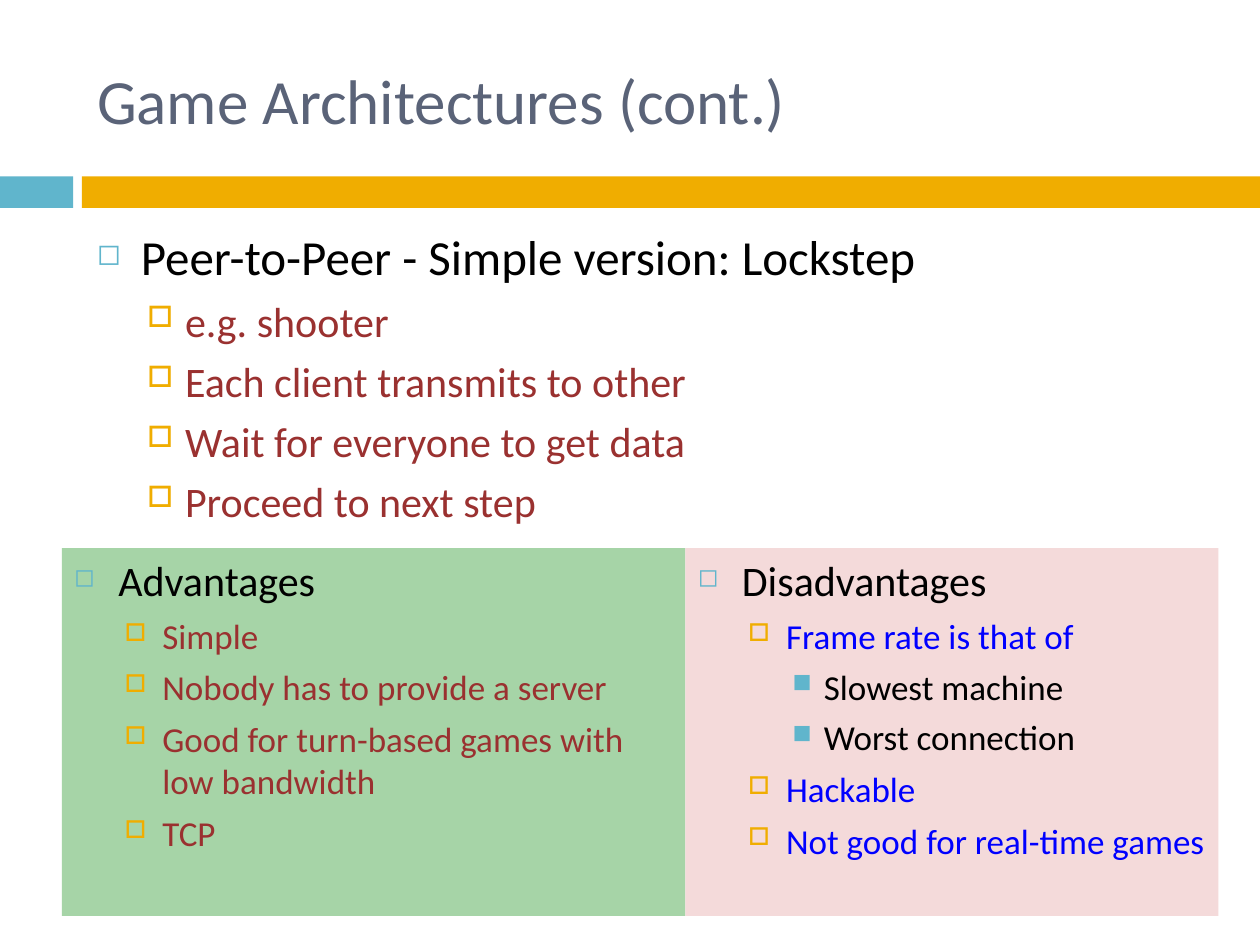
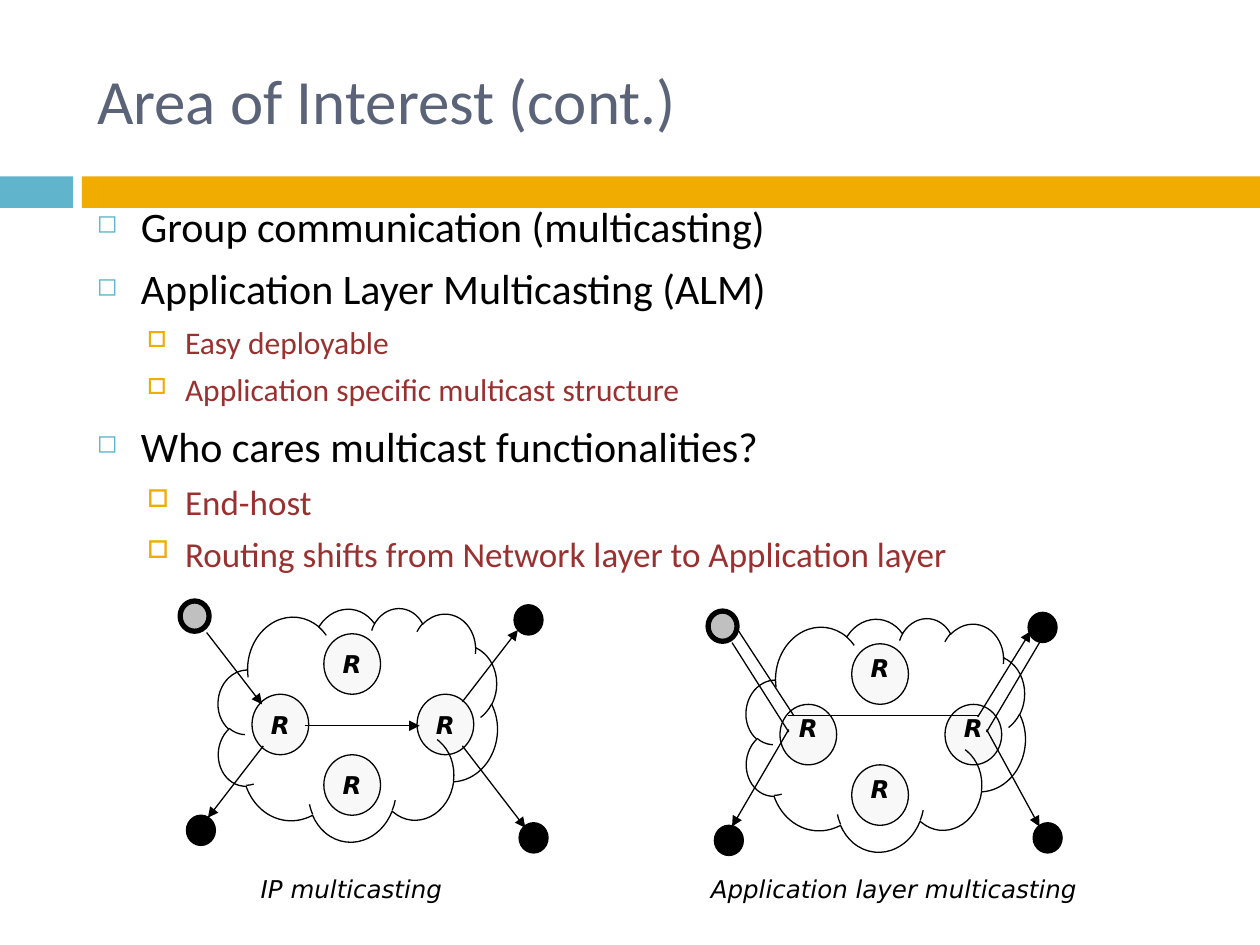
from pptx import Presentation
from pptx.dml.color import RGBColor
from pptx.enum.shapes import MSO_CONNECTOR, MSO_SHAPE
from pptx.enum.text import MSO_ANCHOR, PP_ALIGN
from pptx.oxml.ns import qn
from pptx.util import Inches, Pt
from lxml.etree import SubElement

TEAL = RGBColor(0x60, 0xB5, 0xCC)
AMBER = RGBColor(0xF0, 0xAD, 0x00)
SLATE = RGBColor(0x5A, 0x63, 0x78)
RUST = RGBColor(0x9A, 0x31, 0x30)
BLUE = RGBColor(0x00, 0x00, 0xFF)
BLACK = RGBColor(0x00, 0x00, 0x00)
WHITE = RGBColor(0xFF, 0xFF, 0xFF)
GREEN = RGBColor(0xA6, 0xD4, 0xA7)
PINK = RGBColor(0xF4, 0xDA, 0xDA)
PALE = RGBColor(0xF8, 0xF8, 0xF8)
GREY = RGBColor(0xC0, 0xC0, 0xC0)

FONT = "Calibri"
LABEL_FONT = "DejaVu Sans"

# Per level: indent, hanging, space before, bullet, bullet colour, bullet percent
LEVELS = [
    (0.35, 0.35, 7, "◻", TEAL, 60),
    (0.70, 0.30, 5.5, "□", AMBER, 70),
    (1.00, 0.25, 5, "■", TEAL, 75),
]


# Basic parts
def add_box(slide, kind, box, fill=None, line=None, width=0.75):
    shape = slide.shapes.add_shape(kind, *map(Inches, box))
    shape.shadow.inherit = False
    if fill is None:
        shape.fill.background()
    else:
        shape.fill.solid()
        shape.fill.fore_color.rgb = fill
    if line is None:
        shape.line.fill.background()
    else:
        shape.line.color.rgb = line
        shape.line.width = Pt(width)
    return shape


def style(para, size, color, name=FONT, bold=False, italic=False):
    for run in para.runs:
        font = run.font
        font.name, font.size, font.color.rgb = name, Pt(size), color
        font.bold, font.italic = bold, italic


def set_bullet(para, level):
    indent, hang, before, char, color, percent = LEVELS[level]
    para.level = level
    para.alignment = PP_ALIGN.LEFT
    para.space_before = Pt(before)
    props = para._p.get_or_add_pPr()
    props.set("marL", str(Inches(indent)))
    props.set("indent", str(-Inches(hang)))
    tint = SubElement(props, qn("a:buClr"))
    SubElement(tint, qn("a:srgbClr"), val=str(color))
    SubElement(props, qn("a:buSzPct"), val=str(percent * 1000))
    SubElement(props, qn("a:buChar"), char=char)


def fill_list(frame, items):
    """Each item is (level, text, size, colour)."""
    frame.word_wrap = True
    frame.vertical_anchor = MSO_ANCHOR.TOP
    for i, (level, text, size, color) in enumerate(items):
        para = frame.add_paragraph() if i else frame.paragraphs[0]
        para.text = text
        style(para, size, color)
        set_bullet(para, level)


def add_list(slide, box, items):
    shape = slide.shapes.add_textbox(*map(Inches, box))
    fill_list(shape.text_frame, items)


def add_panel(slide, box, fill, items):
    panel = add_box(slide, MSO_SHAPE.RECTANGLE, box, fill)
    fill_list(panel.text_frame, items)


def set_label(shape, text, anchor=MSO_ANCHOR.TOP, bold=False):
    frame = shape.text_frame
    frame.margin_left = frame.margin_right = 0
    frame.margin_top = frame.margin_bottom = 0
    frame.vertical_anchor = anchor
    para = frame.paragraphs[0]
    para.text = text
    para.alignment = PP_ALIGN.CENTER
    style(para, 14, BLACK, LABEL_FONT, bold, True)


def add_link(slide, start, end, arrow):
    link = slide.shapes.add_connector(
        MSO_CONNECTOR.STRAIGHT, *map(Inches, start + end))
    link.line.color.rgb = BLACK
    link.line.width = Pt(0.75)
    if arrow:
        SubElement(link.line._get_or_add_ln(), qn("a:tailEnd"), type="triangle")
    SubElement(link._element.spPr, qn("a:effectLst"))


# Title and band shared by the slides
def add_page(deck, text):
    slide = deck.slides.add_slide(deck.slide_layouts[5])
    add_box(slide, MSO_SHAPE.RECTANGLE, (0, 1.4, 0.58, 0.25), TEAL)
    add_box(slide, MSO_SHAPE.RECTANGLE, (0.65, 1.4, 9.35, 0.25), AMBER)
    title = slide.shapes.title
    title.left, title.top = Inches(0.67), Inches(0.25)
    title.width, title.height = Inches(8.92), Inches(1.08)
    frame = title.text_frame
    frame.text = text
    frame.vertical_anchor = MSO_ANCHOR.MIDDLE
    frame.paragraphs[0].alignment = PP_ALIGN.LEFT
    style(frame.paragraphs[0], 36, SLATE)
    return slide


# Network of four routers in a cloud, with a sender and three hosts
ROUTERS = [(0.57, 0.74), (1.14, 0.26), (1.14, 1.22), (1.88, 0.74)]


def add_network(slide, left, top, anchor, hosts, links, caption, span):
    def place(x, y, *size):
        return (left + x, top + y) + size

    for x, y in ROUTERS:
        router = add_box(slide, MSO_SHAPE.OVAL, place(x, y, 0.45, 0.48),
                         PALE, BLACK)
        set_label(router, "R", anchor, True)
    cloud = add_box(slide, MSO_SHAPE.CLOUD, place(0.29, 0.02, 2.23, 1.89),
                    None, BLACK)
    cloud.rotation = 6.8
    for x1, y1, x2, y2, arrow in links:
        add_link(slide, place(x1, y1), place(x2, y2), arrow)
    for x, y in hosts:
        add_box(slide, MSO_SHAPE.OVAL, place(x, y, 0.23, 0.24), BLACK, BLACK)
    add_box(slide, MSO_SHAPE.OVAL, place(0, 0, 0.23, 0.24), GREY, BLACK, 3)
    x, y, width = span
    note = add_box(slide, MSO_SHAPE.RECTANGLE, place(x, y, width, 0.27), WHITE)
    set_label(note, caption)


# Slides
def build_peers(deck):
    slide = add_page(deck, "Game Architectures (cont.)")
    steps = ["e.g. shooter", "Each client transmits to other",
             "Wait for everyone to get data", "Proceed to next step"]
    add_list(slide, (0.67, 1.75, 8.92, 4.92),
             [(0, "Peer-to-Peer - Simple version: Lockstep", 28, BLACK)]
             + [(1, step, 24, RUST) for step in steps])
    pros = ["Simple", "Nobody has to provide a server",
            "Good for turn-based games with low bandwidth", "TCP"]
    add_panel(slide, (0.49, 4.35, 4.95, 2.92), GREEN,
              [(0, "Advantages", 24, BLACK)]
              + [(1, pro, 20, RUST) for pro in pros])
    add_panel(slide, (5.44, 4.35, 4.23, 2.92), PINK, [
        (0, "Disadvantages", 24, BLACK),
        (1, "Frame rate is that of", 20, BLUE),
        (2, "Slowest machine", 20, BLACK),
        (2, "Worst connection", 20, BLACK),
        (1, "Hackable", 20, BLUE),
        (1, "Not good for real-time games", 20, BLUE),
    ])


def build_groups(deck):
    slide = add_page(deck, "Area of Interest (cont.)")
    add_list(slide, (0.67, 1.54, 9.08, 3.05), [
        (0, "Group communication (multicasting)", 24, BLACK),
        (0, "Application Layer Multicasting (ALM)", 24, BLACK),
        (1, "Easy deployable", 18, RUST),
        (1, "Application specific multicast structure", 18, RUST),
        (0, "Who cares multicast functionalities?", 24, BLACK),
        (1, "End-host", 20, RUST),
        (1, "Routing shifts from Network layer to Application layer", 20, RUST),
    ])
    # Links: start x, start y, end x, end y, arrow
    add_network(
        slide, 1.43, 4.77, MSO_ANCHOR.MIDDLE,
        [(2.65, 0.03), (2.69, 1.76), (0.05, 1.70)],
        [(0.21, 0.25, 0.65, 0.82, True),
         (0.99, 0.99, 1.90, 0.99, True),
         (2.24, 0.80, 2.68, 0.23, True),
         (2.24, 1.15, 2.74, 1.80, True),
         (0.66, 1.15, 0.22, 1.72, True)],
        "IP multicasting", (0.04, 2.17, 2.64))
    add_network(
        slide, 5.62, 4.85, MSO_ANCHOR.TOP,
        [(2.54, 0.01), (2.58, 1.68), (0.05, 1.70)],
        [(0.19, 0.25, 0.64, 0.96, False),
         (0.64, 0.94, 0.19, 1.71, True),
         (2.63, 0.25, 2.21, 0.96, False),
         (2.21, 0.94, 2.63, 1.71, True),
         (0.23, 0.14, 0.68, 0.83, False),
         (2.14, 0.84, 2.56, 0.16, True),
         (0.63, 0.83, 2.15, 0.83, False)],
        "Application layer multicasting", (-0.08, 2.09, 3.11))


def main():
    deck = Presentation()
    deck.slide_width, deck.slide_height = Inches(10), Inches(7.5)
    build_peers(deck)
    build_groups(deck)
    deck.save("out.pptx")


if __name__ == "__main__":
    main()
